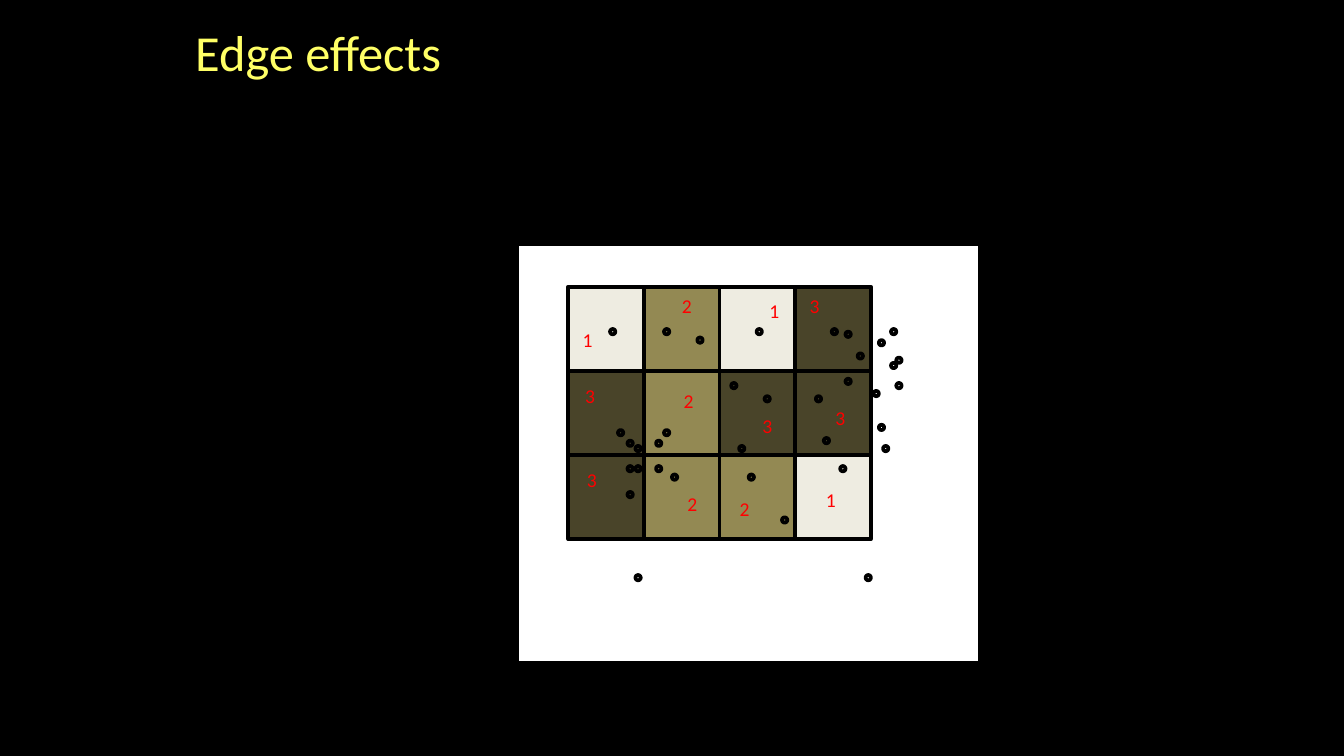
from pptx import Presentation
from pptx.dml.color import RGBColor
from pptx.enum.shapes import MSO_SHAPE as Shape
from pptx.util import Cm, Pt

COLOURS = {
    "background": "000000",
    "line": "000000",
    "title": "FFFF66",
    "panel": "FFFFFF",
    "count": "FF0000",
    1: "EEECE1",
    2: "938953",
    3: "494429",
}

GRID_LEFT, GRID_TOP = 10.74, 5.42
CELL_WIDTH, CELL_HEIGHT = 1.43, 1.59
DOT_SIZE = 0.1

QUADRATS = [
    [(1, 10.82, 6.1), (2, 12.7, 5.46), (1, 14.35, 5.56), (3, 15.11, 5.46)],
    [(3, 10.87, 7.16), (2, 12.73, 7.26), (3, 14.22, 7.72), (3, 15.6, 7.57)],
    [(3, 10.9, 8.74), (2, 12.8, 9.19), (2, 13.79, 9.3), (1, 15.42, 9.12)],
]

POINTS = [
    (11.68, 8.13), (12.55, 8.13), (11.86, 9.3), (12.7, 8.97),
    (12.4, 8.33), (11.86, 8.81), (11.86, 8.33), (12.4, 8.81),
    (13.97, 8.43), (12.01, 8.81), (15.88, 8.81), (11.53, 6.22),
    (14.15, 8.97), (15.57, 8.28), (13.18, 6.38), (14.45, 7.49),
    (14.3, 6.22), (15.42, 7.49), (15.72, 6.22), (12.55, 6.22),
    (14.78, 9.78), (16.69, 8.43), (12.01, 10.87), (16.84, 6.86),
    (16.36, 10.87), (16.21, 6.68), (16.84, 6.22), (16.61, 6.43),
    (12.01, 8.43), (16.51, 7.39), (15.98, 6.27), (16.61, 8.03),
    (16.94, 7.24), (15.98, 7.16), (13.82, 7.24), (16.94, 6.76),
]


def colour(name):
    return RGBColor.from_string(COLOURS[name])


class SlideBuilder:
    font_name = "Calibri"
    line_width = Pt(2)
    frame_format = {
        "word_wrap": True,
        "margin_left": Cm(0.19),
        "margin_right": Cm(0.19),
        "margin_top": Cm(0.1),
        "margin_bottom": Cm(0.1),
    }

    def __init__(self, presentation):
        self.slide = presentation.slides.add_slide(presentation.slide_layouts[6])
        fill = self.slide.background.fill
        fill.solid()
        fill.fore_color.rgb = colour("background")

    def outlined(self, kind, left, top, width, height, fill_name=None):
        shape = self.slide.shapes.add_shape(
            kind, Cm(left), Cm(top), Cm(width), Cm(height)
        )
        shape.shadow.inherit = False
        if fill_name is None:
            shape.fill.background()
        else:
            shape.fill.solid()
            shape.fill.fore_color.rgb = colour(fill_name)
        shape.line.color.rgb = colour("line")
        shape.line.width = self.line_width

    def rectangle(self, left, top, width, height, fill_name):
        self.outlined(Shape.RECTANGLE, left, top, width, height, fill_name)

    def dot(self, left, top):
        self.outlined(Shape.OVAL, left, top, DOT_SIZE, DOT_SIZE)

    def text(self, content, left, top, width, height, size, colour_name):
        box = self.slide.shapes.add_textbox(
            Cm(left), Cm(top), Cm(width), Cm(height)
        )
        frame = box.text_frame
        for name, value in self.frame_format.items():
            setattr(frame, name, value)
        run = frame.paragraphs[0].add_run()
        run.text = content
        for name, value in {"name": self.font_name, "size": Pt(size)}.items():
            setattr(run.font, name, value)
        run.font.color.rgb = colour(colour_name)


def main():
    presentation = Presentation()
    presentation.slide_width = Cm(25.4)
    presentation.slide_height = Cm(14.29)
    builder = SlideBuilder(presentation)

    builder.text("Edge effects", 3.5, 0.3, 12.45, 1.35, 27, "title")
    builder.rectangle(9.78, 4.62, 8.74, 7.92, "panel")

    for row, quadrats in enumerate(QUADRATS):
        for column, (count, *_) in enumerate(quadrats):
            builder.rectangle(
                GRID_LEFT + column * CELL_WIDTH,
                GRID_TOP + row * CELL_HEIGHT,
                CELL_WIDTH,
                CELL_HEIGHT,
                count,
            )

    for left, top in POINTS:
        builder.dot(left, top)

    for quadrats in QUADRATS:
        for count, left, top in quadrats:
            builder.text(str(count), left, top, 0.58, 0.64, 10.5, "count")

    presentation.save("out.pptx")


if __name__ == "__main__":
    main()
